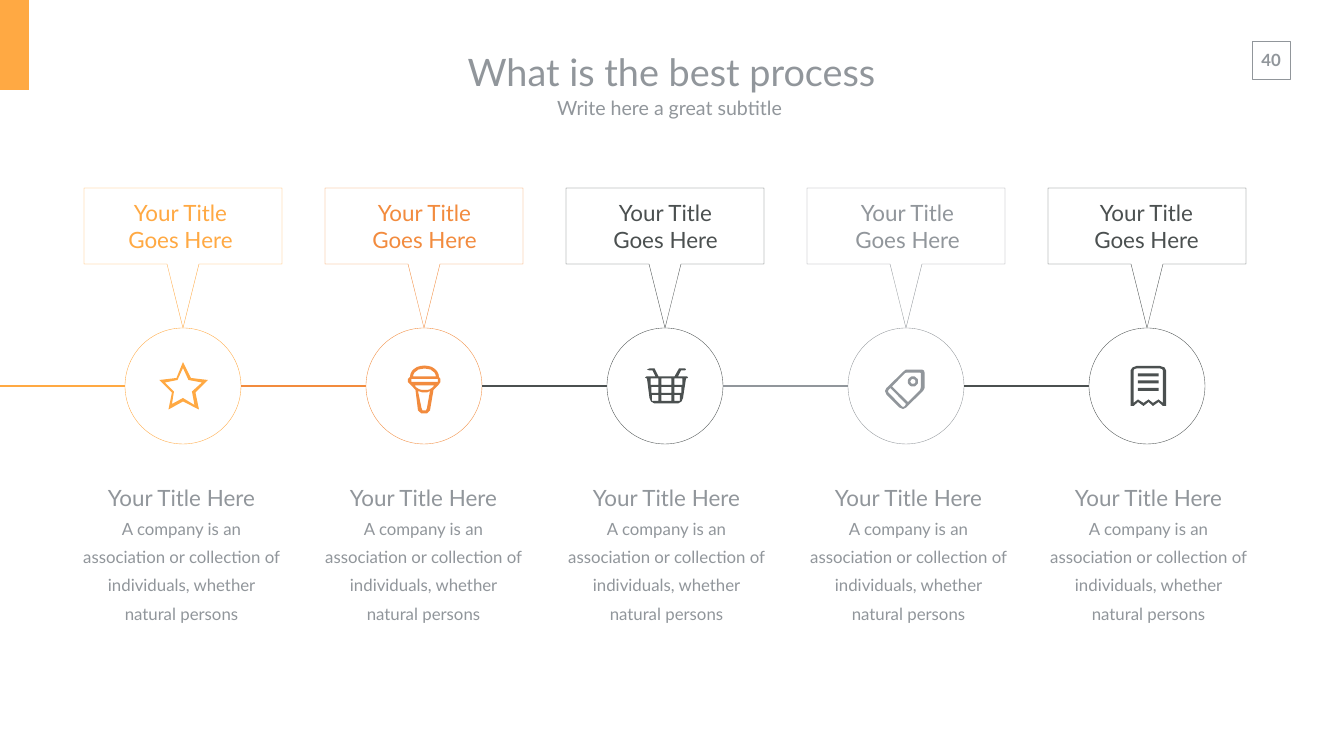
from math import cos, radians, sin

from lxml import etree
from pptx import Presentation
from pptx.dml.color import RGBColor
from pptx.enum import shapes, text
from pptx.oxml.ns import qn
from pptx.util import Pt

PX = 914400 / 50.4
FONT = "Lato"
AMBER = RGBColor(0xFF, 0xA9, 0x43)
ORANGE = RGBColor(0xF2, 0x8B, 0x3E)
DARK = RGBColor(0x4B, 0x50, 0x50)
GREY = RGBColor(0x91, 0x96, 0x9B)
WHITE = RGBColor(0xFF, 0xFF, 0xFF)


def rect(l, t, r, b):
    return [(l, t), (r, t), (r, b), (l, b)]


def arc(cx, cy, rx, ry, start, end):
    return [(cx + rx * cos(radians(a)), cy + ry * sin(radians(a)))
            for a in range(start, end + 1, 15)]


# Icon contours in half px, measured from the centre of the circle
STAR = [
    [(50, -12), (16, -16), (0, -48), (-13, -16), (-47, -12), (-22, 13),
     (-29, 47), (0, 31), (32, 47), (25, 13)],
    [(0, 24), (-22, 36), (-18, 11), (-36, -7), (-11, -12), (0, -36),
     (11, -12), (38, -7), (18, 11), (23, 38)],
]
MICROPHONE = [
    arc(1, -18, 29, 23, 180, 360)
    + [(33, -14), (33, -8), (28, -1), (19, 8), (12, 49), (6, 55), (-5, 55),
       (-12, 49), (-17, 8), (-25, -1), (-32, -8), (-32, -14)],
    arc(1, -19, 23, 16, 180, 360),
    rect(-25, -14, 28, -8),
    arc(1, -1, 19, 9, 0, 180),
    [(-12, 10), (-3, 13), (6, 13), (12, 10), (6, 44), (4, 49), (-3, 49), (-5, 44)],
]
BASKET = [
    [(44, -19), (26, -19), (32, -31), (40, -31), (42, -33), (40, -35), (28, -35),
     (19, -19), (-13, -19), (-21, -35), (-31, -35), (-36, -33), (-31, -31),
     (-25, -31), (-19, -19), (-37, -19), (-40, -17), (-37, -15), (-36, -15),
     (-31, 24), (-28, 31), (-21, 35), (26, 35), (33, 31), (36, 24), (42, -15),
     (44, -15), (46, -17)],
]
for top, bottom, left, right in [(-15, -2, -29, 35), (2, 14, -27, 33), (18, 30, -26, 30)]:
    BASKET += [rect(left, top, -13, bottom), rect(-7, top, 13, bottom),
               rect(19, top, right, bottom)]
TAG = [
    [(32, -33), (0, -33), (-5, -29), (-39, 4), (-42, 10), (-39, 17), (-13, 43),
     (-6, 46), (0, 43), (34, 10), (37, 4), (37, -27), (36, -31)],
    [(30, 2), (28, 8), (4, 32), (-28, 1), (-2, -26), (2, -27), (28, -27), (30, -26)],
    [(-2, 40), (-6, 42), (-9, 40), (-35, 13), (-36, 11), (-35, 8), (-31, 4), (0, 36)],
    arc(14, -9, 10, 10, 0, 345),
    arc(14, -9, 5, 5, 0, 345),
]
RECEIPT = [
    [(26, -40), (-21, -40), (-29, -37), (-33, -31), (-33, 40), (-27, 40), (-18, 32),
     (-7, 40), (3, 32), (12, 40), (23, 32), (32, 40), (38, 40), (38, -31), (35, -37)],
    [(32, 34), (23, 27), (12, 34), (3, 27), (-7, 34), (-18, 27), (-27, 34),
     (-27, -31), (-25, -34), (-21, -35), (26, -35), (30, -34), (32, -31)],
] + [rect(-18, y, 23, y + 6) for y in (-25, -11, 4)]

TITLE = "What is the best process"
SUBTITLE = "Write here a great subtitle"
LABEL = ["Your Title", "Goes Here"]
HEADING = "Your Title Here"
BODY = "A company is an association or collection of individuals, whether natural persons"
# colour, icon, left of the label, left of the description
STEPS = [
    (AMBER, STAR, 81, 78),
    (ORANGE, MICROPHONE, 325, 320),
    (DARK, BASKET, 566, 563),
    (GREY, TAG, 808, 805),
    (DARK, RECEIPT, 1047, 1045),
]
FIRST_X, PITCH, CENTRE_Y, RADIUS = 183, 241, 386, 58
CALLOUT = [(-99, -198), (99, -198), (99, -122), (16, -122), (0, -58),
           (-16, -122), (-99, -122)]


def emu(*lengths):
    return [round(n * PX) for n in lengths]


def style(sp, fill=None, line=None, width=0.5):
    sp.shadow.inherit = False
    if fill is None:
        sp.fill.background()
    else:
        sp.fill.solid()
        sp.fill.fore_color.rgb = fill
    if line is None:
        sp.line.fill.background()
    else:
        sp.line.color.rgb = line
        sp.line.width = Pt(width)


def write(sp, lines, color, inset=(5, 3), anchor=text.MSO_ANCHOR.TOP, spacing=None, bold=False):
    """Fill a shape with centred (text, size) paragraphs."""
    tf = sp.text_frame
    tf.word_wrap = True
    tf.auto_size = text.MSO_AUTO_SIZE.NONE
    tf.vertical_anchor = anchor
    tf.margin_left, tf.margin_top = tf.margin_right, tf.margin_bottom = emu(*inset)
    for i, (words, size) in enumerate(lines):
        p = tf.add_paragraph() if i else tf.paragraphs[0]
        p.text = words
        p.alignment = text.PP_ALIGN.CENTER
        p.line_spacing = spacing
        p.font.name, p.font.size, p.font.bold = FONT, Pt(size), bold
        p.font.color.rgb = color


def outline(slide, contours, x, y, scale):
    fb = slide.shapes.build_freeform(*contours[0][0], scale=scale)
    for i, points in enumerate(contours):
        if i:
            fb.move_to(*points[0])
        fb.add_line_segments(points[1:], close=True)
    return fb.convert_to_shape(*emu(x, y))


prs = Presentation()
prs.slide_width, prs.slide_height = emu(1344, 756)
slide = prs.slides.add_slide(prs.slide_layouts[5])
sps = slide.shapes

# Corner tab and page number
tab = sps.add_shape(shapes.MSO_SHAPE.RECTANGLE, *emu(0, 0, 29, 90))
style(tab, AMBER)
page = sps.add_shape(shapes.MSO_SHAPE.RECTANGLE, *emu(1252, 41, 38, 38))
style(page, line=GREY, width=1)
write(page, [("40", 24)], GREY, (0, 0), text.MSO_ANCHOR.MIDDLE, bold=True)

# Title and subtitle
title = sps.title
title.left, title.top, title.width, title.height = emu(411, 42, 521, 59)
write(title, [(TITLE, 54)], GREY, (14, 7), text.MSO_ANCHOR.MIDDLE)
subtitle = sps.add_textbox(*emu(409, 89, 521, 37))
write(subtitle, [(SUBTITLE, 28)], GREY, (14, 7), text.MSO_ANCHOR.MIDDLE)

# Process steps
for i, (color, icon, label_x, body_x) in enumerate(STEPS):
    x = FIRST_X + i * PITCH

    start = x - PITCH + RADIUS if i else 0
    line = sps.add_connector(shapes.MSO_CONNECTOR.STRAIGHT,
                             *emu(start, CENTRE_Y, x - RADIUS, CENTRE_Y))
    line.line.color.rgb = color
    line.line.width = Pt(3)
    etree.SubElement(line._element.spPr, qn("a:effectLst"))

    circle = sps.add_shape(shapes.MSO_SHAPE.OVAL, *emu(
        x - RADIUS, CENTRE_Y - RADIUS, 2 * RADIUS, 2 * RADIUS))
    style(circle, WHITE, color)
    style(outline(slide, [CALLOUT], x, CENTRE_Y, PX), line=color)
    style(outline(slide, icon, x, CENTRE_Y, PX / 2), color)

    label = sps.add_textbox(*emu(label_x, 196, 199, 60))
    write(label, [(words, 32) for words in LABEL], color)
    description = sps.add_textbox(*emu(body_x, 470, 207, 127))
    write(description, [(HEADING, 32), (BODY, 24)], GREY, spacing=1.4)

prs.save("out.pptx")
